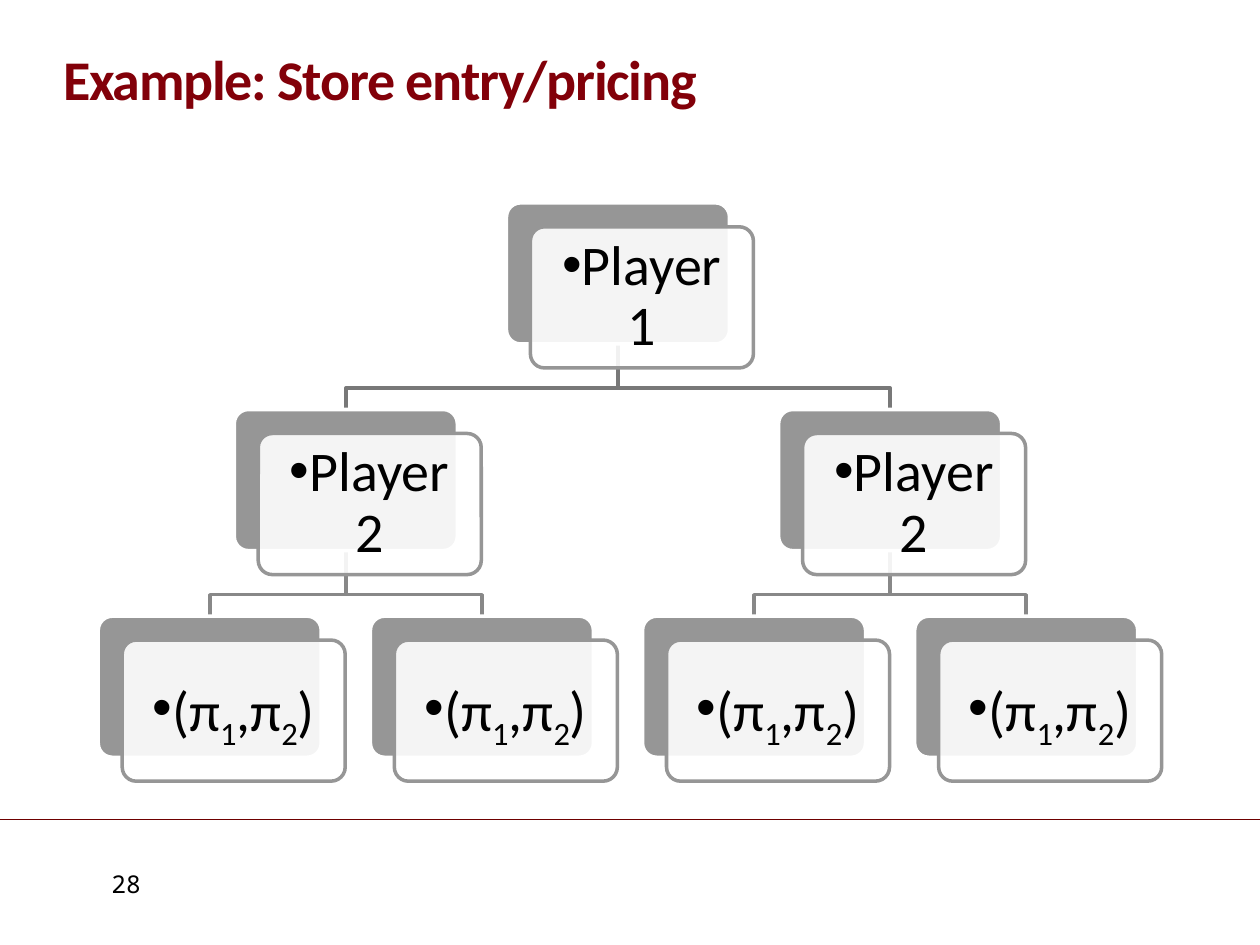
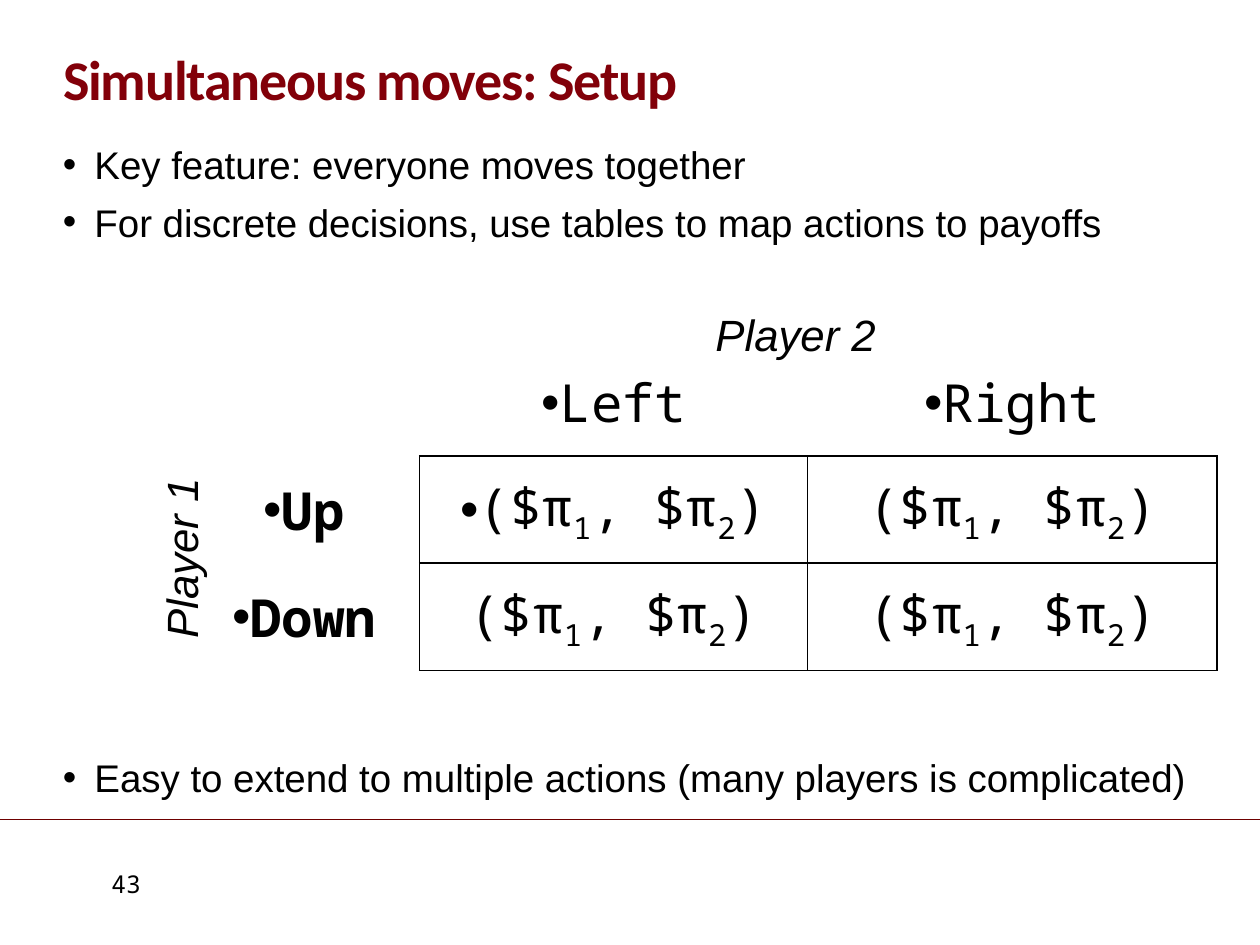
from dataclasses import dataclass
from itertools import product
from typing import Any

from lxml import etree
from pptx import Presentation
from pptx.dml.color import RGBColor
from pptx.enum.shapes import MSO_CONNECTOR, MSO_SHAPE
from pptx.enum.text import MSO_ANCHOR, MSO_AUTO_SIZE, PP_ALIGN
from pptx.oxml.ns import qn
from pptx.util import Emu, Inches, Pt

ROUNDED = MSO_SHAPE.ROUNDED_RECTANGLE
STRAIGHT = MSO_CONNECTOR.STRAIGHT
LEFT, CENTER = PP_ALIGN.LEFT, PP_ALIGN.CENTER
TOP, MIDDLE, BOTTOM = MSO_ANCHOR.TOP, MSO_ANCHOR.MIDDLE, MSO_ANCHOR.BOTTOM
NO_AUTOFIT = MSO_AUTO_SIZE.NONE

COLORS = {
    "ink": "000000",
    "paper": "FFFFFF",
    "title": "820009",
    "rule": "6E0000",
    "card": "969696",
    "root branch": "787878",
    "leaf branch": "888888",
}

# The slide is a grid of 100 columns by 75 rows.
UNIT = Inches(0.1)
SLIDE_COLUMNS, SLIDE_ROWS = 100, 75

TITLE_FONT = {"name": "Calibri", "size": Pt(32), "bold": True}
TREE_FONT = {"name": "Calibri", "size": Pt(32)}
BODY_FONT = {"name": "Arial", "size": Pt(22)}
AXIS_FONT = {"name": "Arial", "size": Pt(25), "italic": True}
MATRIX_FONT = {"name": "Noto Sans Mono", "size": Pt(30)}
ACTION_FONT = {**MATRIX_FONT, "bold": True}
NUMBER_FONT = {"name": "Noto Sans Mono", "size": Pt(14)}


@dataclass(frozen=True)
class Box:
    """A place on the slide, in grid units."""

    left: float
    top: float
    width: float
    height: float

    def emu(self) -> tuple[Emu, ...]:
        return tuple(grid(n) for n in (self.left, self.top, self.width, self.height))


@dataclass(frozen=True)
class Node:
    """A card of the game tree; column counts leaf cards from the left."""

    column: float
    level: int
    label: str

    @property
    def box(self) -> Box:
        return Box(7.8 + 21.6 * self.column, 16.1 + 16.4 * self.level, 17.7, 11.2)


@dataclass(frozen=True)
class AxisLabel:
    text: str
    box: Box
    rotation: int = 0


TITLE_BOX = Box(5, 2.9, 90, 6)
NUMBER_BOX = Box(4.9, 68.5, 10.2, 3.4)
BODY_BOX = Box(5, 11.2, 90, 52.1)
MATRIX_BOX = Box(15, 27.7, 81.6, 25.5)
FOOTER_ROW = 65
CARD_OFFSET = 1.9
BRANCH_DROP = 3.5

PAYOFF = "(π_1,π_2)"
DOLLAR_PAYOFF = "($π_1, $π_2)"

ROOT = Node(1.5, 0, "Player 1")
REPLIES = [Node(column, 1, "Player 2") for column in (0.5, 2.5)]
OUTCOMES = [Node(column, 2, PAYOFF) for column in range(4)]

BULLETS = [  # text and space before, in points
    ("Key feature: everyone moves together", 0),
    ("For discrete decisions, use tables to map actions to payoffs", 6.4),
    ("Easy to extend to multiple actions (many players is complicated)", 291),
]

MATRIX = [
    ["", "Left", "Right"],
    ["Up", DOLLAR_PAYOFF, DOLLAR_PAYOFF],
    ["Down", DOLLAR_PAYOFF, DOLLAR_PAYOFF],
]
MATRIX_COLUMNS = [18.3, 30.8, 32.5]
UNBULLETED = {(1, 2), (2, 1), (2, 2)}

AXIS_LABELS = [
    AxisLabel("Player 2", Box(55.8, 23.9, 25.8, 5.2)),
    AxisLabel("Player 1", Box(4.9, 39.6, 18.9, 5.2), 270),
]


def grid(units: float) -> Emu:
    return Emu(round(units * UNIT))


def rgb(color: str) -> RGBColor:
    return RGBColor.from_string(COLORS[color])


def apply(target: Any, values: dict[str, Any]) -> None:
    for attribute, value in values.items():
        setattr(target, attribute, value)


def paint(shape: Any, fill: str | None, line: str, width: float) -> None:
    shape.shadow.inherit = False
    if fill:
        shape.fill.solid()
        shape.fill.fore_color.rgb = rgb(fill)
    else:
        shape.fill.background()
    shape.line.color.rgb = rgb(line)
    shape.line.width = Pt(width)


def format_frame(frame: Any, anchor: Any, inset: float | None = None) -> None:
    apply(frame, {"word_wrap": True, "auto_size": NO_AUTOFIT, "vertical_anchor": anchor})
    if inset is not None:
        sides = ("left", "top", "right", "bottom")
        apply(frame, {f"margin_{side}": grid(inset) for side in sides})


def write(paragraph: Any, text: str, font: dict[str, Any],
          color: str = "ink", align: Any = LEFT) -> None:
    """Write text in which an underscore makes the next character a subscript."""
    paragraph.alignment = align
    plain, *marked = text.split("_")
    pieces = [(plain, False)]
    for piece in marked:
        pieces += [(piece[0], True), (piece[1:], False)]
    for words, lowered in pieces:
        run = paragraph.add_run()
        run.text = words
        apply(run.font, font)
        run.font.color.rgb = rgb(color)
        if lowered:
            run._r.get_or_add_rPr().set("baseline", "-25000")


def add_bullet(paragraph: Any, hanging: float = 0) -> None:
    properties = paragraph._p.get_or_add_pPr()
    properties.set("marL", str(grid(hanging)))
    properties.set("indent", str(-grid(hanging)))
    etree.SubElement(properties, qn("a:buFont"), typeface="Arial")
    etree.SubElement(properties, qn("a:buChar"), char="•")


def add_text(slide: Any, box: Box, text: str, font: dict[str, Any],
             align: Any = LEFT) -> Any:
    label = slide.shapes.add_textbox(*box.emu())
    format_frame(label.text_frame, TOP)
    write(label.text_frame.paragraphs[0], text, font, align=align)
    return label


def add_base_slide(deck: Any, heading: str, number: str) -> Any:
    """Add a slide with the shared title, footer rule and slide number."""
    slide = deck.slides.add_slide(deck.slide_layouts[5])
    title = slide.shapes.title
    apply(title, dict(zip(("left", "top", "width", "height"), TITLE_BOX.emu())))
    format_frame(title.text_frame, BOTTOM, 0)
    paragraph = title.text_frame.paragraphs[0]
    write(paragraph, heading, TITLE_FONT, "title")
    paragraph.line_spacing = 0.9
    paragraph.runs[0]._r.get_or_add_rPr().set("spc", "-70")

    rule = slide.shapes.add_connector(
        STRAIGHT, 0, grid(FOOTER_ROW), grid(SLIDE_COLUMNS), grid(FOOTER_ROW))
    rule.line.color.rgb = rgb("rule")
    rule.line.width = Pt(0.25)
    etree.SubElement(rule._element.spPr, qn("a:effectLst"))
    add_text(slide, NUMBER_BOX, number, NUMBER_FONT, CENTER)
    return slide


def add_branch(slide: Any, parent: Node, child: Node, color: str) -> None:
    start, end = parent.box, child.box
    start_x, end_x = (box.left + box.width / 2 for box in (start, end))
    start_y = start.top + start.height
    bend_y = start_y + BRANCH_DROP
    corners = [(start_x, bend_y), (end_x, bend_y), (end_x, end.top)]
    outline = slide.shapes.build_freeform(grid(start_x), grid(start_y))
    outline.add_line_segments([(grid(x), grid(y)) for x, y in corners], close=False)
    paint(outline.convert_to_shape(), None, color, 2)


def add_card(slide: Any, box: Box, fill: str, line: str) -> Any:
    card = slide.shapes.add_shape(ROUNDED, *box.emu())
    card.adjustments[0] = 0.1
    paint(card, fill, line, 2)
    return card


def add_node(slide: Any, node: Node) -> None:
    """Draw a grey card with a translucent, labelled card in front of it."""
    back = node.box
    front = Box(back.left + CARD_OFFSET, back.top + CARD_OFFSET, back.width, back.height)
    add_card(slide, back, "card", "paper")
    card = add_card(slide, front, "paper", "card")
    paper = card._element.spPr.find(qn("a:solidFill"))[0]
    etree.SubElement(paper, qn("a:alpha"), val="90000")
    format_frame(card.text_frame, MIDDLE, 1.4)
    paragraph = card.text_frame.paragraphs[0]
    write(paragraph, node.label, TREE_FONT, align=CENTER)
    paragraph.line_spacing = 0.9
    add_bullet(paragraph)


def add_body(slide: Any) -> None:
    frame = slide.shapes.add_textbox(*BODY_BOX.emu()).text_frame
    format_frame(frame, TOP, 0)
    for index, (text, space) in enumerate(BULLETS):
        paragraph = frame.add_paragraph() if index else frame.paragraphs[0]
        write(paragraph, text, BODY_FONT)
        paragraph.space_before = Pt(space)
        add_bullet(paragraph, 2.5)


def add_borders(cell: Any, row: int, column: int) -> None:
    """Rule every edge that touches a payoff cell; keep the others white."""
    ruled = {
        "L": row > 0 and column > 0,
        "R": row > 0,
        "T": row > 0 and column > 0,
        "B": column > 0,
    }
    properties = cell._tc.get_or_add_tcPr()
    for side, is_ruled in ruled.items():
        border = etree.SubElement(properties, qn(f"a:ln{side}"), w=str(Pt(1)))
        fill = etree.SubElement(border, qn("a:solidFill"))
        color = COLORS["ink" if is_ruled else "paper"]
        etree.SubElement(fill, qn("a:srgbClr"), val=color)


def add_matrix(slide: Any) -> None:
    size = len(MATRIX)
    matrix = slide.shapes.add_table(size, size, *MATRIX_BOX.emu()).table
    apply(matrix, {"first_row": False, "horz_banding": False})
    for column, width in zip(matrix.columns, MATRIX_COLUMNS):
        column.width = grid(width)
    for row, column in product(range(size), repeat=2):
        cell = matrix.cell(row, column)
        add_borders(cell, row, column)
        cell.fill.solid()
        cell.fill.fore_color.rgb = rgb("paper")
        cell.vertical_anchor = MIDDLE
        text = MATRIX[row][column]
        if text:
            paragraph = cell.text_frame.paragraphs[0]
            font = MATRIX_FONT if column else ACTION_FONT
            write(paragraph, text, font, align=CENTER)
            if (row, column) not in UNBULLETED:
                add_bullet(paragraph)


def build_tree_slide(deck: Any) -> None:
    slide = add_base_slide(deck, "Example: Store entry/pricing", "28")
    for index, reply in enumerate(REPLIES):
        add_branch(slide, ROOT, reply, "root branch")
        for outcome in OUTCOMES[2 * index:2 * index + 2]:
            add_branch(slide, reply, outcome, "leaf branch")
    for node in [ROOT, *REPLIES, *OUTCOMES]:
        add_node(slide, node)


def build_matrix_slide(deck: Any) -> None:
    slide = add_base_slide(deck, "Simultaneous moves: Setup", "43")
    add_body(slide)
    add_matrix(slide)
    for label in AXIS_LABELS:
        add_text(slide, label.box, label.text, AXIS_FONT).rotation = label.rotation


def main() -> None:
    deck = Presentation()
    apply(deck, {"slide_width": grid(SLIDE_COLUMNS), "slide_height": grid(SLIDE_ROWS)})
    build_tree_slide(deck)
    build_matrix_slide(deck)
    deck.save("out.pptx")


if __name__ == "__main__":
    main()
